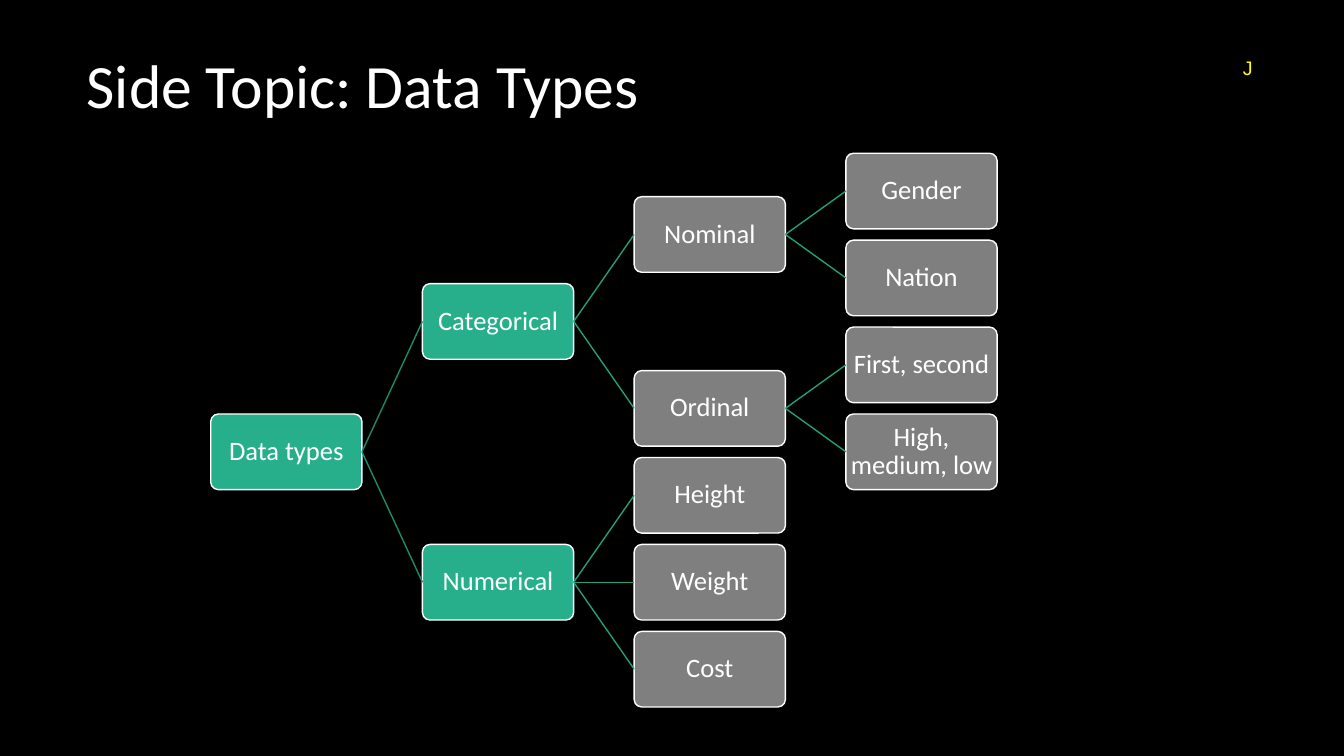
from collections import defaultdict
from dataclasses import dataclass, field

from pptx import Presentation
from pptx.dml.color import RGBColor as Rgb
from pptx.enum.shapes import MSO_CONNECTOR as Connector, MSO_SHAPE as Shape
from pptx.enum.text import MSO_ANCHOR as Anchor, MSO_AUTO_SIZE as AutoSize, PP_ALIGN as Align
from pptx.oxml.ns import qn
from pptx.util import Inches, Pt


@dataclass(frozen=True)
class Theme:
    background: Rgb = Rgb(0x00, 0x00, 0x00)
    white: Rgb = Rgb(0xFF, 0xFF, 0xFF)
    green: Rgb = Rgb(0x26, 0xAF, 0x8A)
    gray: Rgb = Rgb(0x7F, 0x7F, 0x7F)
    root_link: Rgb = Rgb(0x1D, 0x8A, 0x6C)
    link: Rgb = Rgb(0x22, 0x9E, 0x7B)
    yellow: Rgb = Rgb(0xFF, 0xFF, 0x00)
    heading_font: str = "Calibri"
    mark_font: str = "Arial"
    title_size: Pt = Pt(44)
    node_size: Pt = Pt(19)
    mark_size: Pt = Pt(14)
    line_width: Pt = Pt(1)


@dataclass
class Node:
    label: str
    children: list = field(default_factory=list)
    level: int = 0
    row: float = 0


THEME = Theme()
NODE_WIDTH, NODE_HEIGHT = 1.5, 0.75
COLUMN_STEP, ROW_STEP = 1.4 * NODE_WIDTH, 1.15 * NODE_HEIGHT
GREEN_LEVELS = 2

DATA_TYPES = Node("Data types", [
    Node("Categorical", [
        Node("Nominal", [Node("Gender"), Node("Nation")]),
        Node("Ordinal", [Node("First, second"), Node("High, medium, low")]),
    ]),
    Node("Numerical", [Node("Height"), Node("Weight"), Node("Cost")]),
])


def apply_format(target, values):
    for name, value in values.items():
        setattr(target, name, value)


def write_text(shape, text, frame_format, paragraph_format, font_format, color):
    frame = shape.text_frame
    frame.text = text
    apply_format(frame, frame_format)
    paragraph = frame.paragraphs[0]
    apply_format(paragraph, paragraph_format)
    font = paragraph.runs[0].font
    apply_format(font, font_format)
    font.color.rgb = color


def add_title(slide, left, top, width, height):
    title = slide.shapes.title
    apply_format(title, {"left": Inches(left), "top": Inches(top),
                         "width": Inches(width), "height": Inches(height)})
    write_text(title, "Side Topic: Data Types",
               {"vertical_anchor": Anchor.MIDDLE, "word_wrap": True},
               {"alignment": Align.LEFT, "line_spacing": 0.9},
               {"name": THEME.heading_font, "size": THEME.title_size}, THEME.white)


def add_corner_mark(slide, left, top, width, height):
    mark = slide.shapes.add_textbox(Inches(left), Inches(top), Inches(width), Inches(height))
    write_text(mark, "J", {"word_wrap": False, "auto_size": AutoSize.SHAPE_TO_FIT_TEXT},
               {"alignment": Align.LEFT},
               {"name": THEME.mark_font, "size": THEME.mark_size}, THEME.yellow)


def assign_rows(node, next_rows, level=0):
    """Stack leaves down their column and centre each parent on its children."""
    node.level = level
    for child in node.children:
        assign_rows(child, next_rows, level + 1)
    if node.children:
        node.row = (node.children[0].row + node.children[-1].row) / 2
    else:
        node.row = next_rows[level]
    next_rows[level] = node.row + 1


def add_node(slide, node, left, top):
    card = slide.shapes.add_shape(
        Shape.ROUNDED_RECTANGLE,
        Inches(left + node.level * COLUMN_STEP), Inches(top + node.row * ROW_STEP),
        Inches(NODE_WIDTH), Inches(NODE_HEIGHT))
    card.adjustments[0] = 0.1
    card.shadow.inherit = False
    card.fill.solid()
    card.fill.fore_color.rgb = THEME.green if node.level < GREEN_LEVELS else THEME.gray
    card.line.color.rgb = THEME.white
    card.line.width = THEME.line_width
    margins = {f"margin_{side}": Inches(0.01) for side in ("left", "top", "right", "bottom")}
    write_text(card, node.label,
               {"vertical_anchor": Anchor.MIDDLE, "word_wrap": True, **margins},
               {"alignment": Align.CENTER, "line_spacing": 0.9},
               {"name": THEME.heading_font, "size": THEME.node_size}, THEME.white)
    return card


def add_link(slide, parent_card, child_card, color):
    link = slide.shapes.add_connector(Connector.STRAIGHT, 0, 0, 0, 0)
    link.begin_connect(parent_card, 3)  # right side
    link.end_connect(child_card, 1)  # left side
    link.line.color.rgb = color
    link.line.width = THEME.line_width
    properties = link._element.spPr
    properties.append(properties.makeelement(qn("a:effectLst"), {}))


def add_tree(slide, node, left, top):
    card = add_node(slide, node, left, top)
    link_color = THEME.link if node.level else THEME.root_link
    for child in node.children:
        add_link(slide, card, add_tree(slide, child, left, top), link_color)
    return card


def main():
    deck = Presentation()
    apply_format(deck, {"slide_width": Inches(13.33), "slide_height": Inches(7.5)})
    slide = deck.slides.add_slide(deck.slide_layouts[5])
    slide.background.fill.solid()
    slide.background.fill.fore_color.rgb = THEME.background

    # Heading
    add_title(slide, 0.76, 0.15, 11.5, 1.45)

    # Data type tree
    assign_rows(DATA_TYPES, defaultdict(int))
    add_tree(slide, DATA_TYPES, 2.09, 1.52)

    # Corner mark
    add_corner_mark(slide, 12.23, 0.51, 0.3, 0.34)

    deck.save("out.pptx")


if __name__ == "__main__":
    main()
